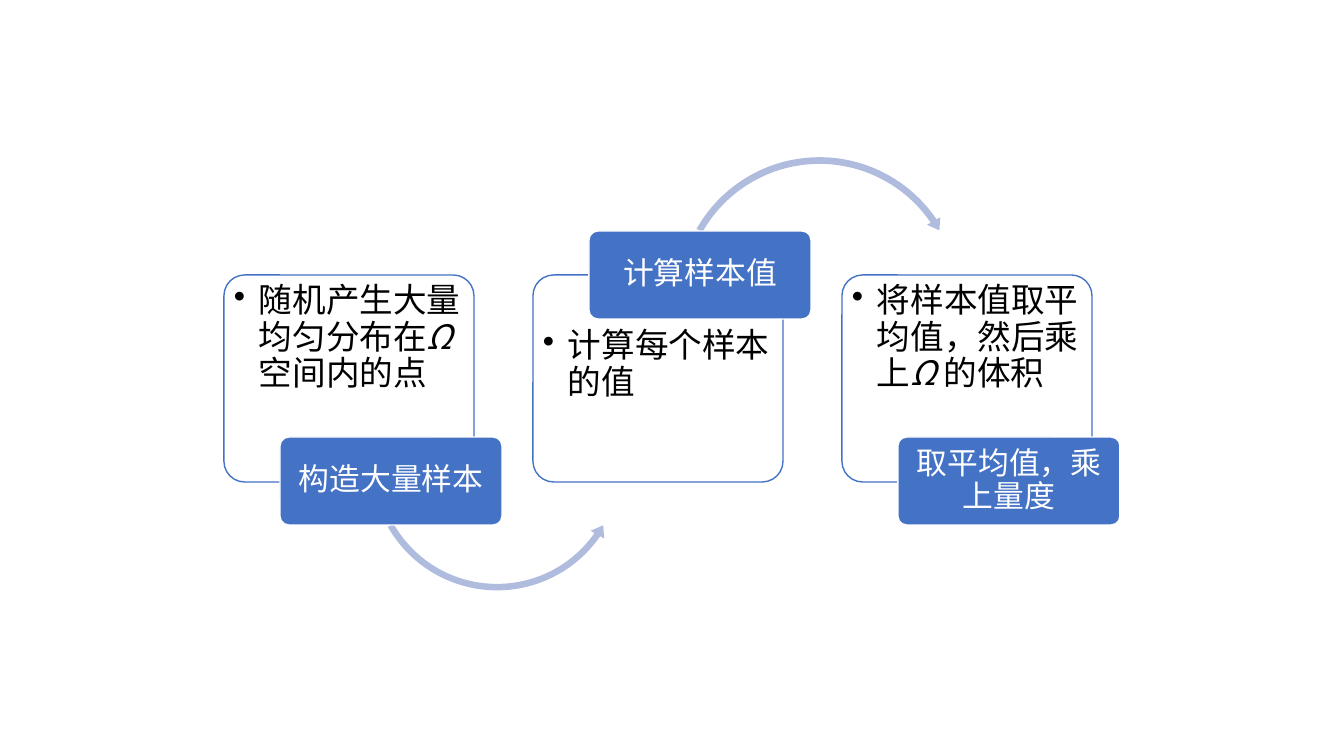
import pptx
import pptx.util
import pptx.dml.color
import pptx.enum.shapes
import pptx.enum.text
import pptx.oxml.ns
import lxml.etree

PX = 9144000 / 1008
FONT = "Noto Sans CJK SC"
BLUE = pptx.dml.color.RGBColor(0x44, 0x72, 0xC4)
PALE = pptx.dml.color.RGBColor(0xB0, 0xBC, 0xDE)
WHITE = pptx.dml.color.RGBColor(0xFF, 0xFF, 0xFF)
BLACK = pptx.dml.color.RGBColor(0, 0, 0)
KIND = pptx.enum.shapes.MSO_SHAPE
qn = pptx.oxml.ns.qn


def draw(kind, box, fill, line, adjust):
    """Add a flat preset shape; line None means no outline."""
    shape = slide.shapes.add_shape(kind, *[round(n * PX) for n in box])
    shape.shadow.inherit = False
    shape.fill.solid()
    shape.fill.fore_color.rgb = fill
    if line is None:
        shape.line.fill.background()
    else:
        shape.line.color.rgb = line
        shape.line.width = pptx.util.Pt(1)
    for i, value in enumerate(adjust):
        shape.adjustments[i] = value
    return shape


def write(box, runs, size, color, pad):
    """Add a text box of (text, italic) runs and return its frame and paragraph."""
    text = slide.shapes.add_textbox(*[round(n * PX) for n in box])
    frame = text.text_frame
    frame.word_wrap = True
    frame.margin_left = frame.margin_right = round(5 * PX)
    frame.margin_top = frame.margin_bottom = round(pad * PX)
    para = frame.paragraphs[0]
    para.line_spacing = 0.9
    for words, slant in runs:
        run = para.add_run()
        run.text = words
        run.font.size = pptx.util.Pt(size)
        run.font.name = FONT
        run.font.color.rgb = color
        run.font.italic = slant
        east = lxml.etree.SubElement(run.font._element, qn("a:ea"))
        east.set("typeface", FONT)
    return frame, para


deck = pptx.Presentation()
deck.slide_width = round(1344 * PX)
deck.slide_height = round(756 * PX)
slide = deck.slides.add_slide(deck.slide_layouts[6])

# Each step: body runs, label, text top, label top, arrow to the next step
steps = [
    ([("随机产生大量均匀分布在", False), ("Ω", True), ("空间内的点", False)],
     "构造大量样本", 279, 437,
     (KIND.LEFT_CIRCULAR_ARROW, (367, 335, 260, 260),
      (0.025, 3.094, 20.849, 90.245, 0.03))),
    ([("计算每个样本 的值", False)],
     "计算样本值", 324, 231,
     (KIND.CIRCULAR_ARROW, (674, 153, 291, 291),
      (0.023, 2.738, 195.507, 125.755, 0.026))),
    ([("将样本值取平均值，然后乘上", False), ("Ω ", True), ("的体积", False)],
     "取平均值，乘上量度", 279, 437, None),
]

for i, (body, label, top, tag, arrow) in enumerate(steps):
    left = 224 + 309 * i
    card = draw(KIND.ROUNDED_RECTANGLE, (left, 275, 250, 207), WHITE, BLUE, [0.1])
    tint = card._element.spPr.find(qn("a:solidFill"))[0]
    lxml.etree.SubElement(tint, qn("a:alpha")).set("val", "90000")

    frame, para = write((left + 5, top, 240, 152), body, 24, BLACK, 5)
    para.level = 1
    props = para._p.get_or_add_pPr()
    props.set("marL", str(round(25 * PX)))
    props.set("indent", str(round(-25 * PX)))
    lxml.etree.SubElement(props, qn("a:buChar")).set("char", "•")

    if arrow:
        kind, box, adjust = arrow
        draw(kind, box, PALE, None, adjust)

    draw(KIND.ROUNDED_RECTANGLE, (left + 56, tag, 222, 88), BLUE, WHITE, [0.1])
    frame, para = write((left + 59, tag + 3, 216, 82), [(label, False)], 22, WHITE, 3)
    frame.vertical_anchor = pptx.enum.text.MSO_ANCHOR.MIDDLE
    para.alignment = pptx.enum.text.PP_ALIGN.CENTER

deck.save("out.pptx")
